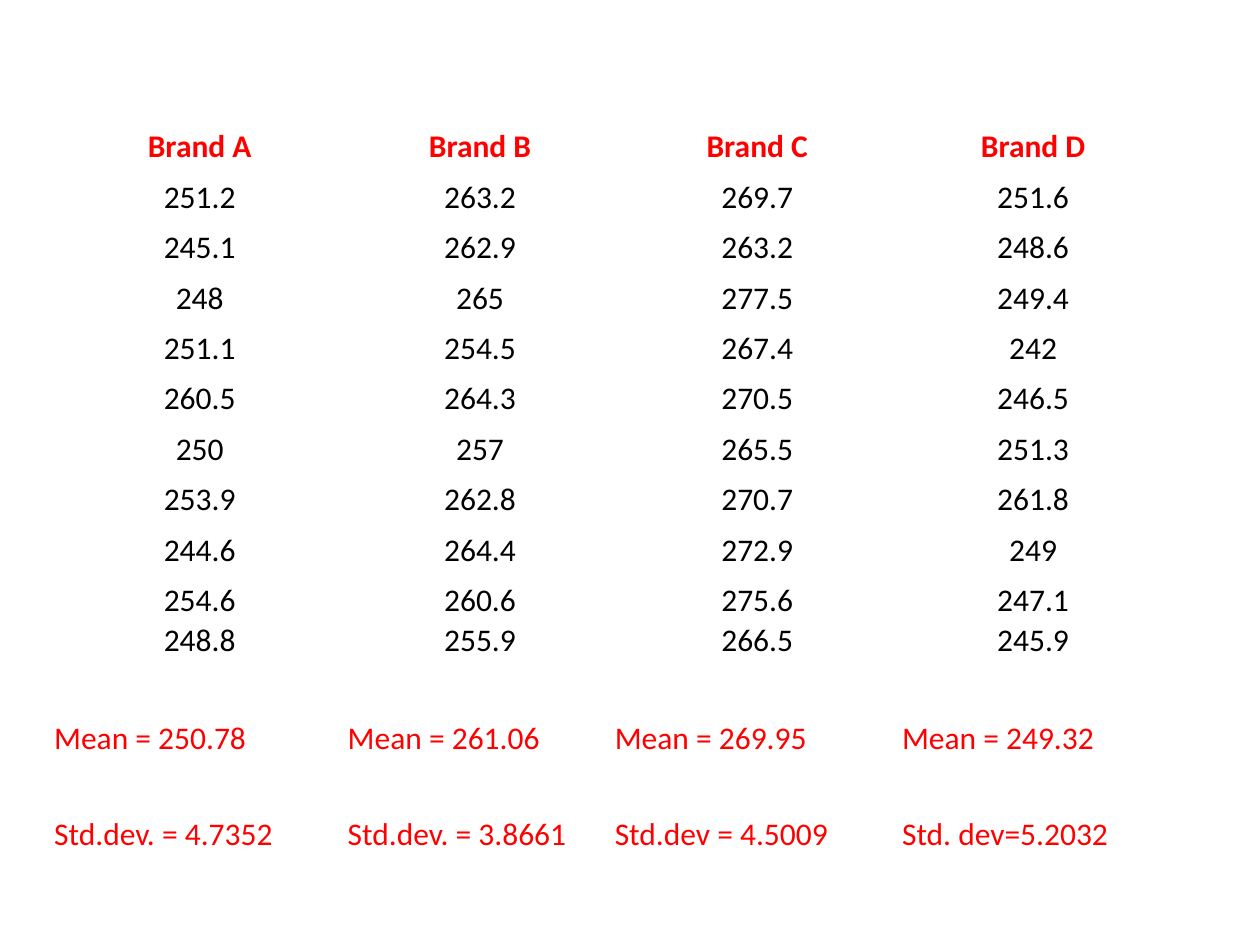
from pptx import Presentation
from pptx.dml.color import RGBColor
from pptx.enum.text import MSO_ANCHOR as Anchor, PP_ALIGN as Align
from pptx.util import Inches, Pt

RED = RGBColor(0xFF, 0x00, 0x00)
BLACK = RGBColor(0x00, 0x00, 0x00)
FONT = "Calibri"
BRANDS = ["Brand A", "Brand B", "Brand C", "Brand D"]
READINGS = [
    ["251.2", "263.2", "269.7", "251.6"],
    ["245.1", "262.9", "263.2", "248.6"],
    ["248", "265", "277.5", "249.4"],
    ["251.1", "254.5", "267.4", "242"],
    ["260.5", "264.3", "270.5", "246.5"],
    ["250", "257", "265.5", "251.3"],
    ["253.9", "262.8", "270.7", "261.8"],
    ["244.6", "264.4", "272.9", "249"],
    ["254.6", "260.6", "275.6", "247.1"],
    ["248.8", "255.9", "266.5", "245.9"],
]
SUMMARY = [
    ["Mean = 250.78", "Mean = 261.06", "Mean = 269.95", "Mean = 249.32"],
    ["Std.dev. = 4.7352", "Std.dev. = 3.8661", "Std.dev = 4.5009", "Std. dev=5.2032"],
]
COLUMN_WIDTHS = [2.33, 2.12, 2.28, 2.1]
ROW_HEIGHTS = [0.4] * len(READINGS) + [0.25, 0.78, 0.76]


def add_grid(page, left, top):
    """Add an unstyled table sized by the column and row lists."""
    frame = page.shapes.add_table(
        len(ROW_HEIGHTS), len(COLUMN_WIDTHS), Inches(left), Inches(top),
        Inches(sum(COLUMN_WIDTHS)), Inches(sum(ROW_HEIGHTS)))
    table = frame.table
    table.first_row = table.horz_banding = False
    for column, width in zip(table.columns, COLUMN_WIDTHS):
        column.width = Inches(width)
    for row, height in zip(table.rows, ROW_HEIGHTS):
        row.height = Inches(height)
    return table


def fill_cell(cell, text, color, align, bold):
    """Write one bottom-anchored cell with narrow margins."""
    cell.fill.background()
    cell.vertical_anchor = Anchor.BOTTOM
    cell.margin_left = cell.margin_right = cell.margin_top = Inches(0.01)
    cell.margin_bottom = 0
    cell.text = text
    para = cell.text_frame.paragraphs[0]
    para.alignment = align
    font = para.font
    font.name, font.size, font.bold = FONT, Pt(18), bold
    font.color.rgb = color


def fill_rows(table, start, lines, color, align=Align.CENTER, bold=False):
    """Write consecutive rows in one look, beginning at row start."""
    for row, line in enumerate(lines, start):
        for column, text in enumerate(line):
            fill_cell(table.cell(row, column), text, color, align, bold)


def main():
    """Build the slide of brand readings and save it."""
    deck = Presentation()
    deck.slide_width, deck.slide_height = Inches(10), Inches(7.5)
    page = deck.slides.add_slide(deck.slide_layouts[6])
    table = add_grid(page, 0.42, 0.92)
    fill_rows(table, 0, [BRANDS], RED, bold=True)
    fill_rows(table, 1, READINGS, BLACK)
    fill_rows(table, 1 + len(READINGS), SUMMARY, RED, Align.LEFT)
    deck.save("out.pptx")


main()
